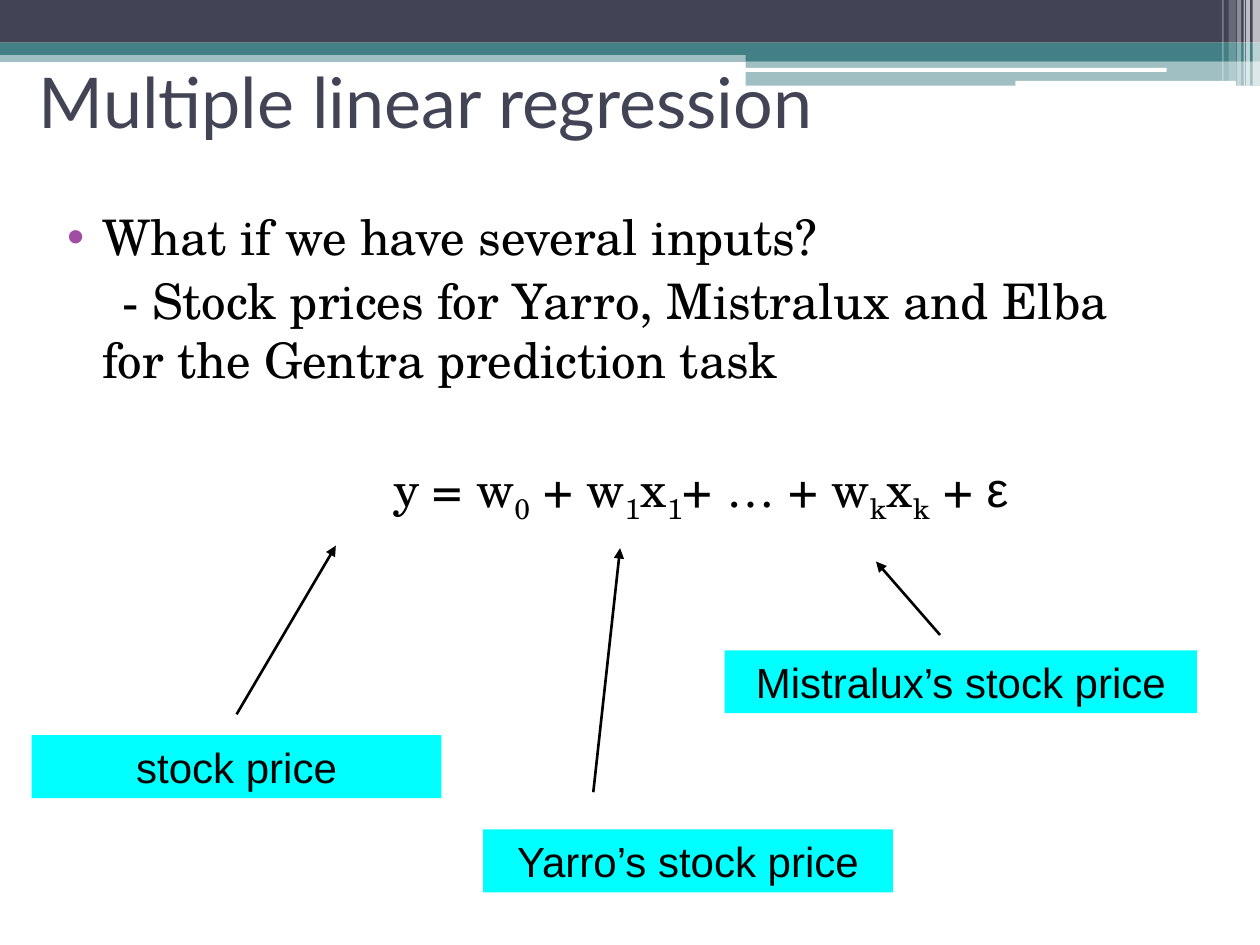
"""Build the slide on multiple linear regression with its labelled equation."""
from lxml import etree
from pptx import Presentation
from pptx import util as u
from pptx.dml.color import RGBColor
from pptx.enum import shapes, text
from pptx.oxml import ns

NAVY = RGBColor(0x42, 0x44, 0x56)
TEAL = RGBColor(0x43, 0x80, 0x86)
PURPLE = RGBColor(0xA0, 0x4D, 0xA3)
CYAN = RGBColor(0x00, 0xFF, 0xFF)
WHITE = RGBColor(0xFF, 0xFF, 0xFF)
BLACK = RGBColor(0x00, 0x00, 0x00)
RECT = shapes.MSO_SHAPE.RECTANGLE
ROUND = shapes.MSO_SHAPE.ROUNDED_RECTANGLE


def add_block(page, kind, place, color, opacity=100):
    block = page.shapes.add_shape(kind, *[u.Cm(length) for length in place])
    block.shadow.inherit = False
    block.fill.solid()
    block.fill.fore_color.rgb = color
    block.line.fill.background()
    if opacity < 100:
        tint = block._element.spPr.find(".//" + ns.qn("a:srgbClr"))
        etree.SubElement(tint, ns.qn("a:alpha"), val=str(opacity * 1000))
    return block


def add_span(para, words, font, size, color):
    span = para.add_run()
    span.text = words
    span.font.name = font
    span.font.size = u.Pt(size)
    span.font.color.rgb = color
    return span


deck = Presentation()
deck.slide_width, deck.slide_height = u.Cm(25.4), u.Cm(19.05)
page = deck.slides.add_slide(deck.slide_layouts[1])
title, body = page.shapes.title, page.placeholders[1]

bands = [
    (RECT, (0, 1.02, 25.4, 0.23), TEAL, 50),
    (RECT, (0, 0, 25.4, 0.86), NAVY, 100),
    (RECT, (0, 0.86, 25.4, 0.25), TEAL, 100),
    (RECT, (15.03, 0.99, 10.37, 0.24), TEAL, 100),
    (RECT, (15.03, 1.23, 10.37, 0.5), TEAL, 50),
    (ROUND, (15.01, 1.37, 8.51, 0.08), WHITE, 100),
    (ROUND, (20.47, 1.63, 4.45, 0.1), WHITE, 100),
]
for kind, place, color, opacity in bands:
    add_block(page, kind, place, color, opacity)

stripes = [
    (25.25, 0.15, 1.73, 65), (25.12, 0.08, 1.73, 65), (25.07, 0.03, 1.73, 60),
    (24.94, 0.08, 1.73, 40), (24.77, 0.15, 1.63, 20), (24.64, 0.03, 1.63, 30),
]
for left, width, height, opacity in stripes:
    add_block(page, RECT, (left, 0, width, height), WHITE, opacity)

for holder, place in ((title, (0.53, 1.07, 22.86, 1.9)), (body, (0.79, 4.04, 22.86, 12.01))):
    holder.left, holder.top, holder.width, holder.height = [u.Cm(length) for length in place]
    holder.text_frame.auto_size = text.MSO_AUTO_SIZE.NONE
    page.shapes._spTree.append(holder._element)

title.text_frame.vertical_anchor = text.MSO_ANCHOR.MIDDLE
para = title.text_frame.paragraphs[0]
para.alignment = text.PP_ALIGN.LEFT
add_span(para, "Multiple linear regression", "Lato", 40, NAVY)

equation = [
    ("y = w", 0), ("0", 1), (" + w", 0), ("1", 1), ("x", 0), ("1", 1),
    ("+ … + w", 0), ("k", 1), ("x", 0), ("k", 1), (" + ", 0),
]
lines = [
    ([("What if we have several inputs?", 0)], 1.02, -0.71, 0),
    ([("- Stock prices for Yarro, Mistralux and Elba for the Gentra prediction task", 0)], 1.02, 0.4, 3),
    (equation, 6.88, 0, 40),
]
for number, (pieces, margin, indent, before) in enumerate(lines):
    para = body.text_frame.paragraphs[0] if number == 0 else body.text_frame.add_paragraph()
    para.space_before = u.Pt(before)
    layout = para._p.get_or_add_pPr()
    layout.set("marL", str(u.Cm(margin)))
    layout.set("indent", str(u.Cm(indent)))
    if number == 0:
        tint = etree.SubElement(layout, ns.qn("a:buClr"))
        etree.SubElement(tint, ns.qn("a:srgbClr"), val=str(PURPLE))
        etree.SubElement(layout, ns.qn("a:buChar"), char="•")
    else:
        etree.SubElement(layout, ns.qn("a:buNone"))
    for words, lowered in pieces:
        span = add_span(para, words, "TeX Gyre Schola", 28, BLACK)
        if lowered:
            span.font._element.set("baseline", "-25000")
add_span(para, "ε", "Arial", 28, BLACK)

labels = [
    ("stock price", (0.64, 14.82, 8.26, 1.27), (4.77, 14.4, 6.77, 11.0)),
    ("Yarro’s stock price", (9.74, 16.72, 8.26, 1.27), (11.96, 15.97, 12.5, 11.05)),
    ("Mistralux’s stock price", (14.61, 13.11, 9.52, 1.27), (18.95, 12.8, 17.66, 11.32)),
]
for words, place, ends in labels:
    box = add_block(page, RECT, place, CYAN)
    box.text_frame.word_wrap = True
    para = box.text_frame.paragraphs[0]
    para.alignment = text.PP_ALIGN.CENTER
    add_span(para, words, "Arial", 24, BLACK)

    arrow = page.shapes.add_connector(
        shapes.MSO_CONNECTOR.STRAIGHT, *[u.Cm(length) for length in ends])
    arrow.line.color.rgb = BLACK
    arrow.line.width = u.Pt(1.5)
    etree.SubElement(arrow.line._get_or_add_ln(), ns.qn("a:tailEnd"), type="triangle")
    etree.SubElement(arrow._element.spPr, ns.qn("a:effectLst"))

deck.save("out.pptx")
